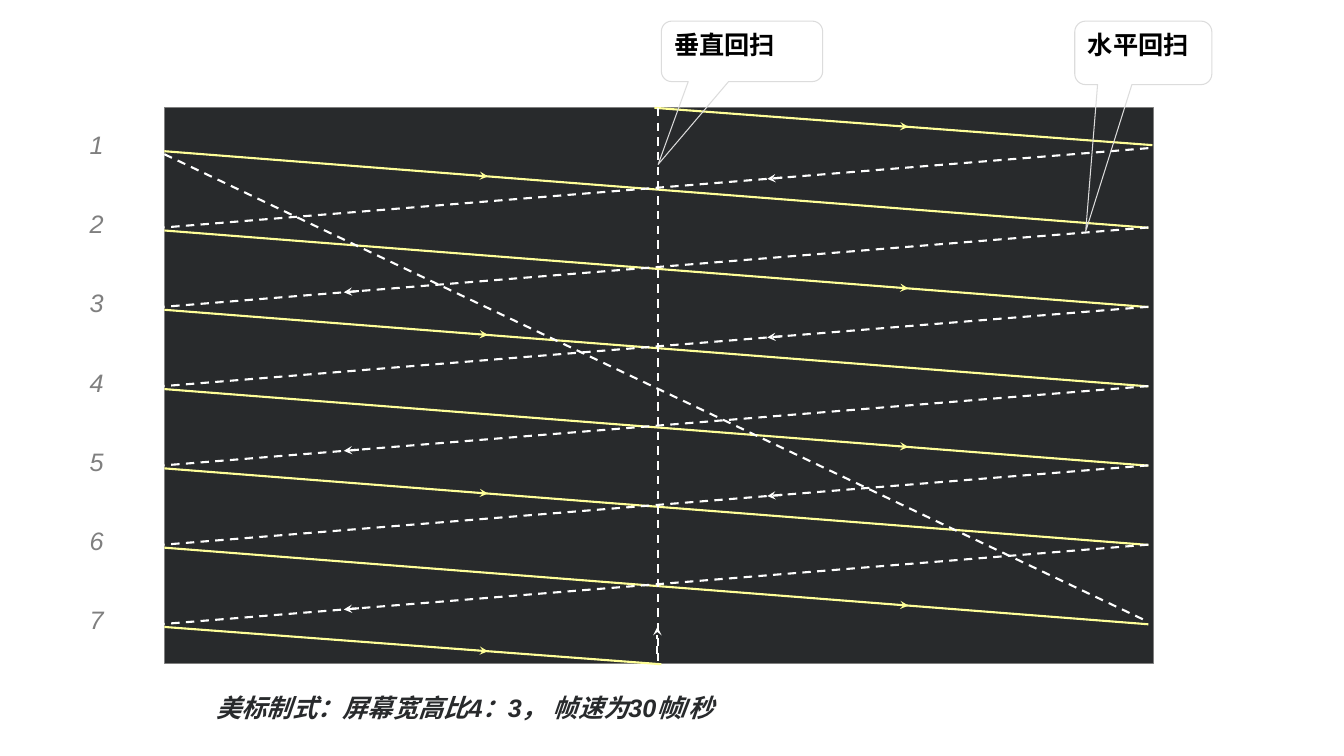
from lxml import etree
from pptx import Presentation
from pptx.dml.color import RGBColor
from pptx.enum.dml import MSO_LINE
from pptx.enum.shapes import MSO_CONNECTOR, MSO_SHAPE
from pptx.enum.text import MSO_ANCHOR, MSO_AUTO_SIZE, PP_ALIGN
from pptx.oxml.ns import qn
from pptx.util import Inches, Pt

STRAIGHT = MSO_CONNECTOR.STRAIGHT
RECTANGLE = MSO_SHAPE.RECTANGLE
CALLOUT = MSO_SHAPE.ROUNDED_RECTANGULAR_CALLOUT
DASH = MSO_LINE.DASH
TOP, LEFT = MSO_ANCHOR.TOP, PP_ALIGN.LEFT
FIT_TEXT = MSO_AUTO_SIZE.SHAPE_TO_FIT_TEXT

DARK = RGBColor(0x28, 0x2A, 0x2C)
GRAY = RGBColor(0x7F, 0x7F, 0x7F)
PALE = RGBColor(0xDC, 0xDC, 0xDC)
YELLOW = RGBColor(0xFF, 0xFF, 0x99)
WHITE = RGBColor(0xFF, 0xFF, 0xFF)
BLACK = RGBColor(0x00, 0x00, 0x00)

# Content
ROW_LABELS = ["1", "2", "3", "4", "5", "6", "7"]
CAPTION = "美标制式：屏幕宽高比4：3， 帧速为30帧/秒"
CALLOUTS = [  # text, box, adjustments of the pointer and corners
    ("水平回扫", (10.66, 0.21, 1.36, 0.63), (-0.42, 2.81, 0.17)),
    ("垂直回扫", (6.56, 0.21, 1.6, 0.6), (-0.52, 1.87, 0.17)),
]

# Raster geometry in inches
SCREEN = (1.63, 1.07, 9.81, 5.51)
SCREEN_TOP, SCREEN_BOTTOM = 1.07, 6.59
SCAN_LEFT, SCAN_RIGHT, MIDDLE = 1.63, 11.39, 6.53
FIRST_ROW = 1.5
ROW_PITCH = (6.22 - FIRST_ROW) / (len(ROW_LABELS) - 1)
SWEEP_DROP, HALF_DROP = 0.76, 0.37
GAP = 0.03  # between a sweep and the retrace next to it
LABEL_LEFT, LABEL_RISE = 0.79, 0.27
SWEEP_TIPS, SWEEP_ARROW = (4.84, 9.01), 0.32
RETRACE_TIPS, RETRACE_ARROW = (7.61, 3.41), 0.15

presentation = Presentation()
presentation.slide_width, presentation.slide_height = Inches(13.33), Inches(7.5)
slide = presentation.slides.add_slide(presentation.slide_layouts[6])


def add_line(start, end, color, width=1.5, dashed=False, arrow=False):
    points = [Inches(value) for value in (*start, *end)]
    connector = slide.shapes.add_connector(STRAIGHT, *points)
    connector.line.color.rgb = color
    connector.line.width = Pt(width)
    if dashed:
        connector.line.dash_style = DASH
    properties = connector._element.spPr
    if arrow:
        outline = properties.find(qn("a:ln"))
        etree.SubElement(outline, qn("a:tailEnd"), type="stealth")
    etree.SubElement(properties, qn("a:effectLst"))


def add_scan(start, end, tip, arrow_length, color, arrow_width, dashed=False):
    """Draw a scan line and an arrow lying on it, its tip at x = tip."""
    slope = (end[1] - start[1]) / (end[0] - start[0])
    tail = tip - arrow_length if end[0] > start[0] else tip + arrow_length
    arrow_ends = [(x, start[1] + slope * (x - start[0])) for x in (tail, tip)]
    add_line(start, end, color, dashed=dashed)
    add_line(*arrow_ends, color, arrow_width, dashed, arrow=True)


def write(shape, text, font_name, color, bold=False, italic=False):
    frame = shape.text_frame
    frame.word_wrap = True
    frame.vertical_anchor = TOP
    paragraph = frame.paragraphs[0]
    paragraph.text = text
    paragraph.alignment = LEFT
    font = paragraph.font
    font.name, font.size, font.color.rgb = font_name, Pt(18), color
    font.bold, font.italic = bold, italic


def add_text(box, text, color, bold=False):
    text_box = slide.shapes.add_textbox(*map(Inches, box))
    write(text_box, text, "Arial", color, bold, italic=True)
    text_box.text_frame.auto_size = FIT_TEXT


def add_outlined(kind, box, line_color):
    shape = slide.shapes.add_shape(kind, *map(Inches, box))
    shape.shadow.inherit = False
    shape.line.color.rgb = line_color
    shape.line.width = Pt(0.75)
    return shape


screen = add_outlined(RECTANGLE, SCREEN, GRAY)
screen.fill.solid()
screen.fill.fore_color.rgb = DARK

# Sweeps: a half line at the top, full lines, a half line at the bottom
add_scan((6.49, SCREEN_TOP), (11.43, SCREEN_TOP + HALF_DROP),
         SWEEP_TIPS[1], SWEEP_ARROW, YELLOW, 0.75)
for row, label in enumerate(ROW_LABELS):
    y = FIRST_ROW + row * ROW_PITCH
    is_last = row == len(ROW_LABELS) - 1
    end = (6.56, y + HALF_DROP) if is_last else (SCAN_RIGHT, y + SWEEP_DROP)
    add_scan((SCAN_LEFT, y), end, SWEEP_TIPS[row % 2], SWEEP_ARROW, YELLOW, 0.75)
    add_text((LABEL_LEFT, y - LABEL_RISE, 1, 0.4), label, GRAY)

# Retraces
last_row = FIRST_ROW + (len(ROW_LABELS) - 1) * ROW_PITCH
add_line((SCAN_LEFT, FIRST_ROW + GAP), (SCAN_RIGHT, last_row - 0.05), WHITE, dashed=True)
for row in range(len(ROW_LABELS) - 1):
    y = FIRST_ROW - GAP + row * ROW_PITCH
    add_scan((SCAN_RIGHT, y), (SCAN_LEFT, y + ROW_PITCH),
             RETRACE_TIPS[row % 2], RETRACE_ARROW, WHITE, 1.5, dashed=True)
add_line((MIDDLE, SCREEN_TOP), (MIDDLE, SCREEN_BOTTOM), WHITE, dashed=True)
add_line((MIDDLE - 0.01, 6.49), (MIDDLE - 0.01, 6.22), WHITE, dashed=True, arrow=True)

for text, box, adjustments in CALLOUTS:
    callout = add_outlined(CALLOUT, box, PALE)
    callout.fill.background()
    for index, value in enumerate(adjustments):
        callout.adjustments[index] = value
    write(callout, text, "Lato", BLACK, bold=True)

add_text((2.05, 6.82, 9.13, 0.4), CAPTION, DARK, bold=True)

presentation.save("out.pptx")
